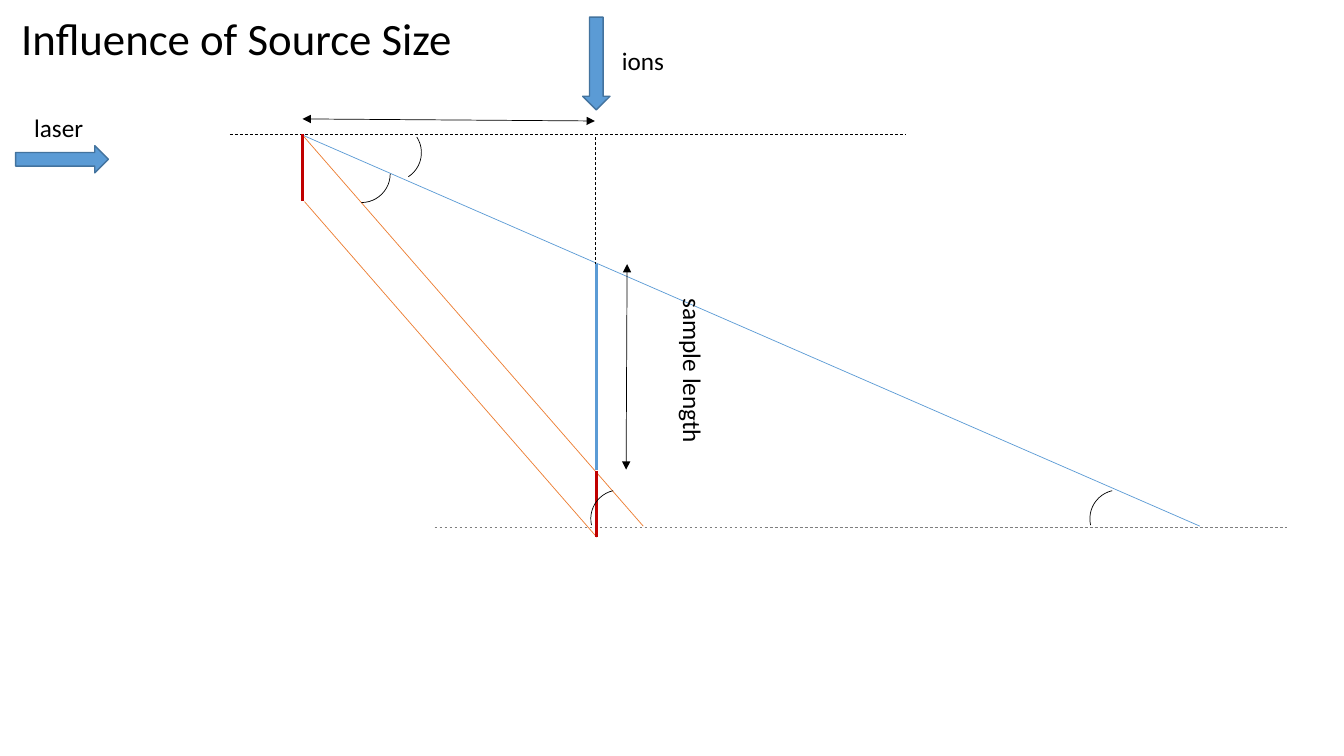
from lxml.etree import SubElement
from pptx import Presentation
from pptx.dml.color import RGBColor
from pptx.enum.dml import MSO_LINE
from pptx.enum.shapes import MSO_CONNECTOR, MSO_SHAPE
from pptx.enum.text import MSO_ANCHOR, MSO_AUTO_SIZE, PP_ALIGN
from pptx.oxml.ns import qn
from pptx.util import Inches, Pt

BLACK, BLUE, ORANGE, RED = "000000", "5B9BD5", "ED7D31", "C00000"
BLUE_EDGE, GREY = "43739E", "7F7F7F"
ARC_SIZE = 0.57


def color(hex_code):
    return RGBColor.from_string(hex_code)


def add_line(page, start, end, hex_code, width=0.5, dashed=False, arrows=False):
    points = [Inches(value) for value in (*start, *end)]
    line = page.shapes.add_connector(MSO_CONNECTOR.STRAIGHT, *points)
    line.line.color.rgb = color(hex_code)
    line.line.width = Pt(width)
    if dashed:
        line.line.dash_style = MSO_LINE.DASH
    properties = line._element.spPr
    if arrows:
        outline = properties.find(qn("a:ln"))
        for tag in ("a:headEnd", "a:tailEnd"):
            SubElement(outline, qn(tag), type="triangle")
    SubElement(properties, qn("a:effectLst"))


def add_outlined(page, kind, box, rotation, hex_code, width, fill=None):
    shape = page.shapes.add_shape(kind, *[Inches(value) for value in box])
    shape.rotation = rotation
    shape.shadow.inherit = False
    if fill:
        shape.fill.solid()
        shape.fill.fore_color.rgb = color(fill)
    else:
        shape.fill.background()
    shape.line.color.rgb = color(hex_code)
    shape.line.width = Pt(width)


def format_text(frame, text, size):
    frame.text = text
    frame.word_wrap = False
    para = frame.paragraphs[0]
    para.alignment = PP_ALIGN.LEFT
    para.font.name = "Calibri"
    para.font.size = Pt(size)
    para.font.color.rgb = color(BLACK)


def add_label(page, text, box, rotation=0):
    label = page.shapes.add_textbox(*[Inches(value) for value in box])
    label.rotation = rotation
    format_text(label.text_frame, text, 18)
    label.text_frame.auto_size = MSO_AUTO_SIZE.SHAPE_TO_FIT_TEXT


def add_title(page, box):
    title = page.shapes.title
    title.left, title.top, title.width, title.height = [Inches(value) for value in box]
    format_text(title.text_frame, "Influence of Source Size", 32)
    title.text_frame.auto_size = MSO_AUTO_SIZE.NONE
    title.text_frame.vertical_anchor = MSO_ANCHOR.MIDDLE


def add_incoming(page, text, left, top, label_box, rotation=0):
    """Block arrow with a label placed relative to the arrow's corner."""
    add_outlined(page, MSO_SHAPE.DOWN_ARROW, (left, top, 0.27, 0.92),
                 rotation, BLUE_EDGE, 1, BLUE)
    right, down, width, height = label_box
    add_label(page, text, (left + right, top + down, width, height))


def add_geometry(page, left, top):
    """Rays, source, sample and angles, measured from the top of the source."""
    def at(x, y):
        return left + x, top + y

    sample, sample_top, sample_end = 2.92, 1.29, 3.33
    source, ground = 0.66, 3.9
    shadow_end = sample_end + source + 0.01

    add_line(page, at(0, 0.01), at(8.9, ground - 0.01), BLUE)
    add_line(page, at(0, 0.01), at(3.38, ground - 0.01), ORANGE)
    add_line(page, at(0.02, source + 0.01), at(sample, shadow_end), ORANGE)

    add_line(page, at(-0.72, 0), at(5.98, 0), BLACK, dashed=True)
    add_line(page, at(2.9, 0.03), at(2.9, sample_top), BLACK, dashed=True)
    add_line(page, at(1.31, ground), at(9.76, ground), GREY, dashed=True)

    add_line(page, at(sample, sample_top), at(sample, sample_end), BLUE, 2)
    add_line(page, at(0, 0), at(0, source), RED, 2)
    add_line(page, at(sample, sample_end + 0.01), at(sample, shadow_end), RED, 2)

    add_line(page, at(0, -0.15), at(2.9, -0.13), BLACK, arrows=True)
    add_line(page, at(3.22, sample_top), at(3.21, sample_end), BLACK, arrows=True)
    add_label(page, "sample length", (*at(3.05, 2.16), 1.65, 0.4), 90)

    for x, y, rotation in ((0.3, 0.11, 90), (0.61, -0.1, 56.9),
                           (2.86, 3.53, 257.1), (7.81, 3.53, 257.1)):
        add_outlined(page, MSO_SHAPE.ARC, (*at(x, y), ARC_SIZE, ARC_SIZE),
                     rotation, BLACK, 0.5)


def main():
    deck = Presentation()
    deck.slide_width, deck.slide_height = Inches(13.33), Inches(7.5)
    page = deck.slides.add_slide(deck.slide_layouts[5])
    add_title(page, (0.11, 0.05, 4.52, 0.64))
    add_geometry(page, 3, 1.33)
    add_incoming(page, "ions", 5.78, 0.17, (0.29, 0.23, 0.62, 0.4))
    add_incoming(page, "laser", 0.48, 1.12, (-0.24, -0.05, 0.69, 0.4), 270)
    deck.save("out.pptx")


if __name__ == "__main__":
    main()
